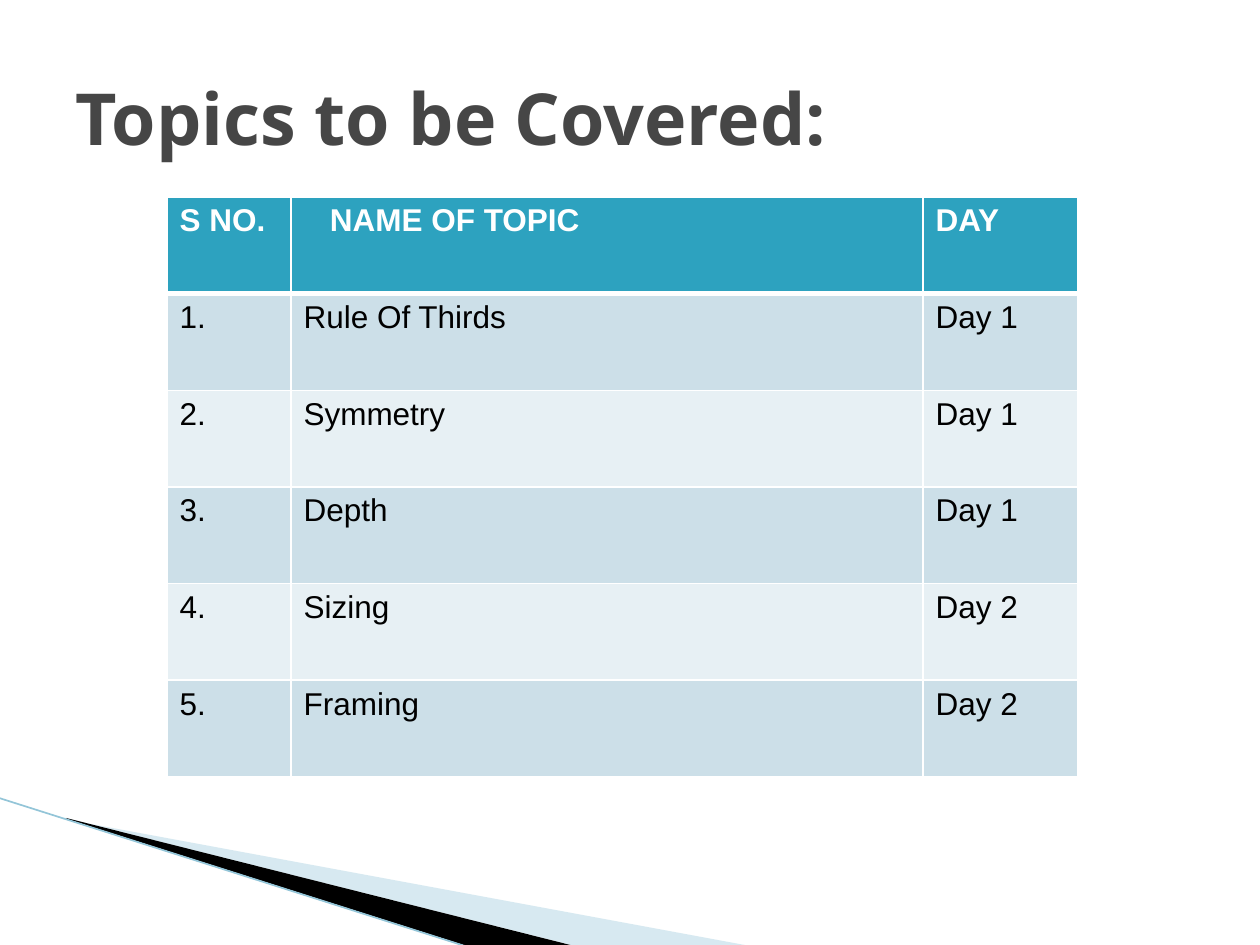
from lxml import etree
from pptx import Presentation
from pptx import util as u
from pptx.dml.color import RGBColor
from pptx.enum import shapes, text
from pptx.oxml import ns

EMU_PER_PX = 914400 / 126
WHITE = "FFFFFF"
HEADER_FILL = "2DA2BF"
BAND_FILLS = ("CCDFE8", "E7F0F4")

HEADINGS = ("S NO.", "NAME OF TOPIC", "DAY")
TOPICS = (
    ("Rule Of Thirds", "Day 1"),
    ("Symmetry", "Day 1"),
    ("Depth", "Day 1"),
    ("Sizing", "Day 2"),
    ("Framing", "Day 2"),
)


def px(length):
    return u.Emu(round(length * EMU_PER_PX))


def color(hex_code):
    return RGBColor.from_string(hex_code)


def write(frame, words, font="Arial", size=18, ink="000000", bold=False):
    run = frame.paragraphs[0].add_run()
    run.text = words
    run.font.name = font
    run.font.size = u.Pt(size)
    run.font.color.rgb = color(ink)
    run.font.bold = bold


def add_child(parent, tag, **attributes):
    return etree.SubElement(parent, ns.qn(tag), **attributes)


def set_border(cell, side, points):
    properties = cell._tc.get_or_add_tcPr()
    border = add_child(properties, f"a:ln{side}", w=str(u.Pt(points)))
    add_child(add_child(border, "a:solidFill"), "a:srgbClr", val=WHITE)


def reframe(shape, points, left, top, frame):
    frame_left, frame_top, width, height = frame
    shift_x = min(x for x, _ in points) - frame_left
    shift_y = min(y for _, y in points) - frame_top
    outline = shape._element.spPr.find(".//" + ns.qn("a:path"))
    outline.set("w", str(width))
    outline.set("h", str(height))
    for corner in outline.iter(ns.qn("a:pt")):
        corner.set("x", str(int(corner.get("x")) + shift_x))
        corner.set("y", str(int(corner.get("y")) + shift_y))
    shape.left, shape.top = px(left + frame_left), px(top + frame_top)
    shape.width, shape.height = px(width), px(height)


def wedge(slide, left, top, points, frame, fill, opacity=100):
    corners = [(left + x, top + y) for x, y in points]
    builder = slide.shapes.build_freeform(*corners[0], scale=EMU_PER_PX)
    builder.add_line_segments(corners[1:], close=True)
    shape = builder.convert_to_shape()
    reframe(shape, points, left, top, frame)
    shape.shadow.inherit = False
    shape.fill.solid()
    shape.fill.fore_color.rgb = color(fill)
    shape.line.fill.background()
    if opacity < 100:
        tint = shape._element.spPr.find(".//" + ns.qn("a:srgbClr"))
        add_child(tint, "a:alpha", val=str(opacity * 1000))


def corner_sweep(slide, left, top):
    wedge(slide, left, top, [(69, 23), (750, 149), (575, 149), (69, 22)],
          (98, -108, 524, 199), "9CCADC", opacity=40)
    wedge(slide, left, top, [(66, 21), (574, 149), (470, 150), (67, 22)],
          (-8, 1, 524, 116), "000000")
    edge = slide.shapes.add_connector(
        shapes.MSO_CONNECTOR.STRAIGHT,
        px(left - 1), px(top + 1), px(left + 468), px(top + 150),
    )
    edge.line.color.rgb = color("93C5D8")
    edge.line.width = u.Pt(0.95)
    add_child(edge._element.spPr, "a:effectLst")


def title(slide, left, top, width, height):
    box = slide.shapes.add_textbox(px(left), px(top), px(width), px(height))
    frame = box.text_frame
    frame.word_wrap = True
    frame.vertical_anchor = text.MSO_ANCHOR.MIDDLE
    write(frame, "Topics to be Covered:", font="Open Sans", size=41, ink="464646", bold=True)


def topic_table(slide, left, top, column_widths, height):
    rows = [HEADINGS]
    rows += [(f"{number}.", *topic) for number, topic in enumerate(TOPICS, 1)]
    table = slide.shapes.add_table(
        len(rows), len(column_widths), px(left), px(top),
        px(sum(column_widths)), px(height),
    ).table
    for column, width in zip(table.columns, column_widths):
        column.width = px(width)
    for row_index, row in enumerate(rows):
        table.rows[row_index].height = px(height / len(rows))
        is_header = row_index == 0
        for column_index, words in enumerate(row):
            cell = table.cell(row_index, column_index)
            for side in "LRTB":
                at_header_edge = (row_index, side) in ((0, "B"), (1, "T"))
                set_border(cell, side, 3 if at_header_edge else 1)
            cell.fill.solid()
            cell.fill.fore_color.rgb = color(
                HEADER_FILL if is_header else BAND_FILLS[(row_index - 1) % 2]
            )
            write(cell.text_frame, words, ink=WHITE if is_header else "000000", bold=is_header)
    table.cell(0, 1).margin_left = px(39)


def main():
    presentation = Presentation()
    presentation.slide_width = px(1260)
    presentation.slide_height = px(945)
    slide = presentation.slides.add_slide(presentation.slide_layouts[6])
    corner_sweep(slide, 0, 797)
    title(slide, 63, 38, 1134, 158)
    topic_table(slide, 167, 197, (124, 632, 155), 580)
    presentation.save("out.pptx")


if __name__ == "__main__":
    main()
